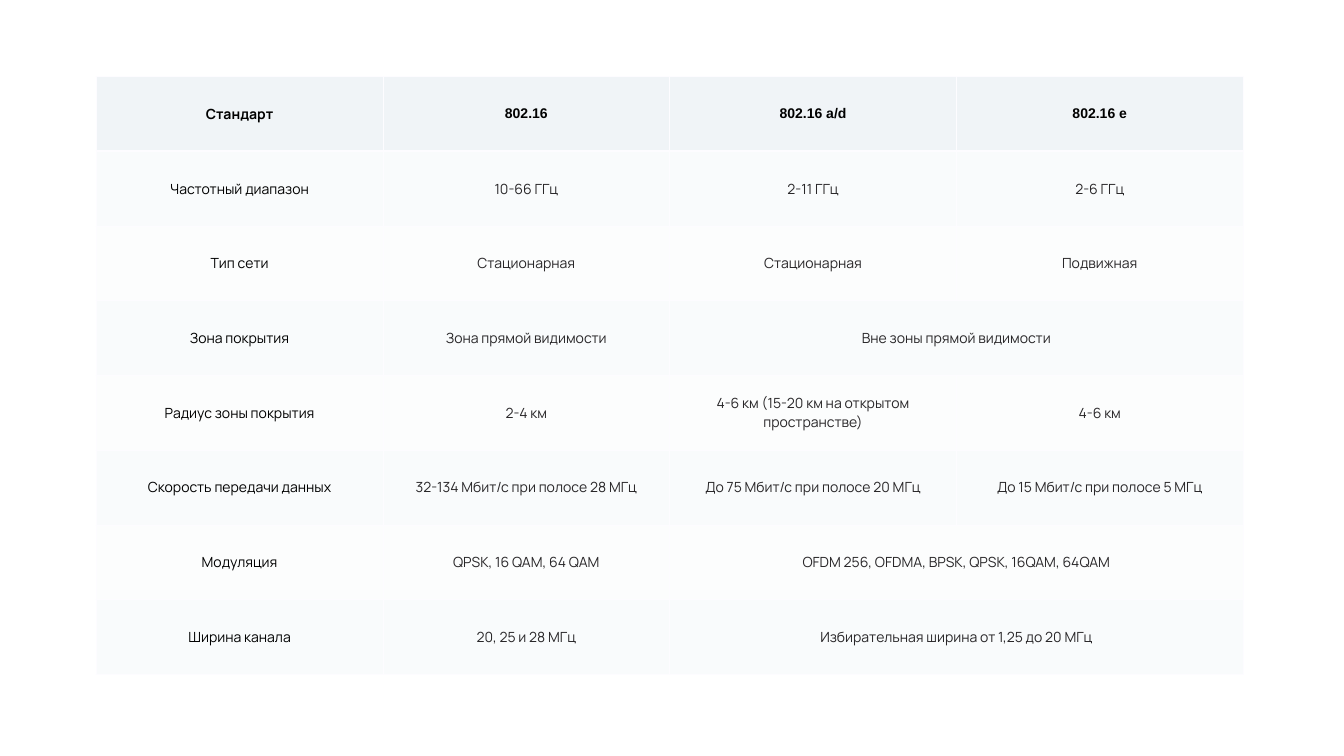
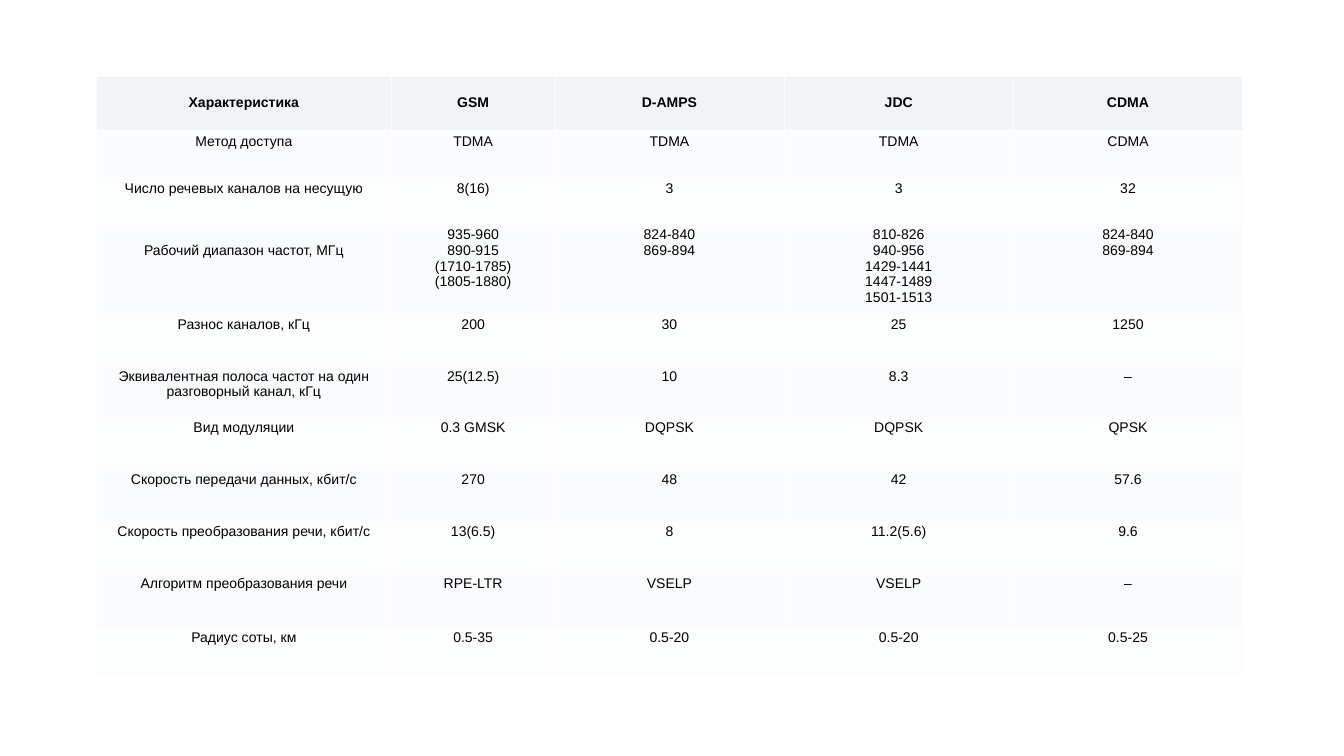
import pptx
import pptx.util
import pptx.dml.color
import pptx.enum.text
from lxml import etree
from pptx.util import Inches, Pt

THEME = {
    "head": "F0F4F7", "odd": "F9FBFC", "even": "FCFDFD", "rule": "FDFCFF",
    "black": "000000", "gray": "292729",
    "size": 20, "thin": 1, "thick": 3,
}
WIDTH, HEIGHT = 26.67, 15
LEFT, TOP, SPAN = 1.91, 1.52, 11.86
PAD, DROP = 0.05, 0.36

# None joins a cell to the one on its left.
WIMAX = {
    "rows": [
        ["Стандарт", "802.16", "802.16 a/d", "802.16 e"],
        ["Частотный диапазон", "10-66 ГГц", "2-11 ГГц", "2-6 ГГц"],
        ["Тип сети", "Стационарная", "Стационарная", "Подвижная"],
        ["Зона покрытия", "Зона прямой видимости", "Вне зоны прямой видимости", None],
        ["Радиус зоны покрытия", "2-4 км",
         "4-6 км (15-20 км на открытом пространстве)", "4-6 км"],
        ["Скорость передачи данных", "32-134 Мбит/с при полосе 28 МГц",
         "До 75 Мбит/с при полосе 20 МГц", "До 15 Мбит/с при полосе 5 МГц"],
        ["Модуляция", "QPSK, 16 QAM, 64 QAM",
         "OFDM 256, OFDMA, BPSK, QPSK, 16QAM, 64QAM", None],
        ["Ширина канала", "20, 25 и 28 МГц",
         "Избирательная ширина от 1,25 до 20 МГц", None],
    ],
    "widths": [5.69] * 4,
    "heights": [SPAN / 8] * 8,
    "label": "Manrope", "title": "Arial", "body": "Manrope", "ink": "gray",
    "anchor": "MIDDLE", "lowered": [],
}
CELLULAR = {
    "rows": [
        ["Характеристика", "GSM", "D-AMPS", "JDC", "CDMA"],
        ["Метод доступа", "TDMA", "TDMA", "TDMA", "CDMA"],
        ["Число речевых каналов на несущую", "8(16)", "3", "3", "32"],
        ["Рабочий диапазон частот, МГц",
         "935-960\n890-915\n(1710-1785)\n(1805-1880)", "824-840\n869-894",
         "810-826\n940-956\n1429-1441\n1447-1489\n1501-1513", "824-840\n869-894"],
        ["Разнос каналов, кГц", "200", "30", "25", "1250"],
        ["Эквивалентная полоса частот на один разговорный канал, кГц",
         "25(12.5)", "10", "8.3", "–"],
        ["Вид модуляции", "0.3 GMSK", "DQPSK", "DQPSK", "QPSK"],
        ["Скорость передачи данных, кбит/с", "270", "48", "42", "57.6"],
        ["Скорость преобразования речи, кбит/с", "13(6.5)", "8", "11.2(5.6)", "9.6"],
        ["Алгоритм преобразования речи", "RPE-LTR", "VSELP", "VSELP", "–"],
        ["Радиус соты, км", "0.5-35", "0.5-20", "0.5-20", "0.5-25"],
    ],
    "widths": [5.86, 3.24] + [4.55] * 3,
    "heights": [1.08, 0.93, 0.93, 1.77] + [1.03] * 5 + [1.07, 0.93],
    "label": "Arial", "title": "Arial", "body": "Arial", "ink": "black",
    "anchor": "TOP",
    "lowered": [(0, col) for col in range(5)] + [(3, 0)],
}


def color(name):
    return pptx.dml.color.RGBColor.from_string(THEME[name])


def add_rules(cell, head):
    """Border all four sides; a heading has a thick lower edge."""
    props = cell._tc.get_or_add_tcPr()
    for side in "LRTB":
        width = THEME["thick" if head and side == "B" else "thin"]
        tag = "{http://schemas.openxmlformats.org/drawingml/2006/main}"
        line = etree.SubElement(props, tag + "ln" + side, w=str(Pt(width)))
        fill = etree.SubElement(line, tag + "solidFill")
        etree.SubElement(fill, tag + "srgbClr", val=THEME["rule"])


def style_text(cell, font, ink, bold):
    look = {"name": font, "size": Pt(THEME["size"]), "bold": bold}
    for para in cell.text_frame.paragraphs:
        para.alignment = pptx.enum.text.PP_ALIGN.CENTER
        for run in para.runs:
            for key, value in look.items():
                setattr(run.font, key, value)
            run.font.color.rgb = color(ink)


def fill_cell(cell, text, row, col, data):
    head = row == 0
    add_rules(cell, head)
    cell.fill.solid()
    cell.fill.fore_color.rgb = color("head" if head else "odd" if row % 2 else "even")
    layout = {
        "vertical_anchor": getattr(pptx.enum.text.MSO_ANCHOR, data["anchor"]),
        "margin_top": Inches(DROP if (row, col) in data["lowered"] else PAD),
        "margin_bottom": Inches(PAD),
    }
    for key, value in layout.items():
        setattr(cell, key, value)
    if text is None:
        return
    cell.text = text
    font = data["label" if col == 0 else "title" if head else "body"]
    ink = "black" if head or col == 0 else data["ink"]
    style_text(cell, font, ink, head)


def add_grid(slide, data):
    rows, widths, heights = data["rows"], data["widths"], data["heights"]
    table = slide.shapes.add_table(
        len(rows), len(widths), Inches(LEFT), Inches(TOP),
        Inches(sum(widths)), Inches(sum(heights))).table
    table.first_row = table.horz_banding = False
    for column, width in zip(table.columns, widths):
        column.width = Inches(width)
    for line, height in zip(table.rows, heights):
        line.height = Inches(height)
    for row, texts in enumerate(rows):
        for col, text in enumerate(texts):
            cell = table.cell(row, col)
            fill_cell(cell, text, row, col, data)
            if text is None:
                table.cell(row, col - 1).merge(cell)


def main():
    deck = pptx.Presentation()
    deck.slide_width, deck.slide_height = Inches(WIDTH), Inches(HEIGHT)
    for data in (WIMAX, CELLULAR):
        add_grid(deck.slides.add_slide(deck.slide_layouts[6]), data)
    deck.save("out.pptx")


if __name__ == "__main__":
    main()
